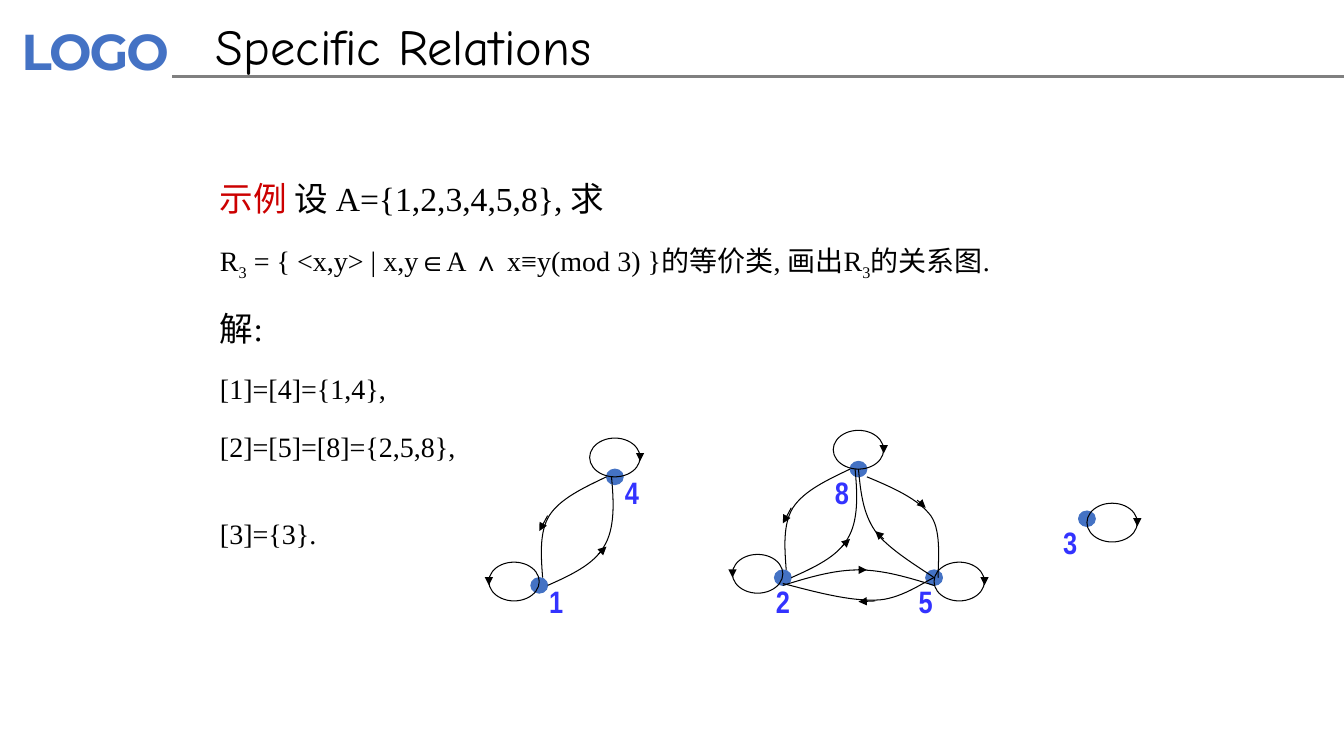
"""Build the slide on equivalence classes and the graph of their relation."""
from dataclasses import dataclass

from lxml import etree
from pptx import Presentation
from pptx.dml.color import RGBColor
from pptx.enum.shapes import MSO_CONNECTOR, MSO_SHAPE
from pptx.enum.text import MSO_ANCHOR, PP_ALIGN
from pptx.oxml.ns import qn
from pptx.util import Inches, Pt

LINE, OVAL = MSO_CONNECTOR.STRAIGHT, MSO_SHAPE.OVAL
TOP, LEFT = MSO_ANCHOR.TOP, PP_ALIGN.LEFT
COL, ROW = Inches(1 / 12), Inches(1 / 13)
GRAPH_COL, GRAPH_ROW = 58.2, 55.5
BLUE, BLACK, RED, GREY = "4472C4", "000000", "CC0000", "808080"

TITLE = dict(name="Comic Neue", size=Pt(36), color=BLACK)
LOGO = dict(name="Montserrat", size=Pt(36), bold=True, color=BLUE)
LABEL = dict(name="Arial Narrow", size=Pt(22.1), bold=True, color="3333FF")
BODY = dict(name="Times New Roman", color=BLACK)

Point = tuple[float, float]


@dataclass(frozen=True)
class Node:
    """A graph node with its loop and label offsets in grid units."""
    label: str
    col: float
    row: float
    loop: Point
    text: Point


@dataclass(frozen=True)
class Edge:
    """A curve of cubic segments with its arrow, relative to a node."""
    points: tuple[Point, ...]
    arrow: tuple[Point, Point]


@dataclass(frozen=True)
class Line:
    """A body paragraph, its runs alternating between normal and subscript."""
    runs: tuple[str, ...]
    size: int
    lead: str = ""
    before: int = 10


NODES = {n.label: n for n in (
    Node("4", 15, 6, (-3, -5), (0, -1)),
    Node("1", 6, 20, (-6, -3), (0, -1)),
    Node("8", 44, 5, (-3, -5), (-4, 0)),
    Node("2", 35, 19, (-6, -3), (-2, 0)),
    Node("5", 53, 19, (0, -2), (-3, 0)),
    Node("3", 71.2, 11.4, (0, -2), (-4, 0)),
)}
RISING = (
    Edge(((1, 0), (3.7, -1.3), (6.5, -2.7), (7.7, -5), (9, -7.3), (8.9, -10.6), (8.6, -14)),
         ((7, -4), (8, -5))),
    Edge(((8, -14), (5.3, -12.6), (2.5, -11.2), (1.2, -9), (0, -6.9), (0.2, -3.9), (0.4, -1)),
         ((1, -9), (0, -7))),
)
FALLING = (
    Edge(((0, 0), (0.25, 2.8), (0.5, 5.65), (2, 8), (3.5, 10.35), (7.8, 13.05), (9, 14)),
         ((3, 9), (2, 8))),
    Edge(((1, 1), (4.1, 2.4), (7.1, 3.85), (8.6, 6), (10, 8.1), (9.4, 12.55), (9.5, 14)),
         ((7, 4), (8, 5))),
)
LEVEL = (
    Edge(((0, 0.75), (4, 1.9), (7.9, 3), (11, 2.9), (13.9, 2.9), (16.9, 0.5), (18, 0)),
         ((11, 3), (9, 3.1))),
    Edge(((0, 1), (3, 0), (6, -1), (9, -1), (12, -1), (15, 0), (18, 1)),
         ((9, -1), (10, -1))),
)
EDGES = {"1": RISING, "2": RISING + LEVEL, "8": FALLING}
LINES = (
    Line((" 设 A={1,2,3,4,5,8}, 求",), 24, lead="示例"),
    Line(("R", "3", " = { <x,y> | x,y∈A ∧ x≡y(mod 3) }的等价类, 画出R", "3", "的关系图."), 20),
    Line(("解:",), 24),
    Line(("[1]=[4]={1,4},",), 20),
    Line(("[2]=[5]=[8]={2,5,8},",), 20),
    Line(("[3]={3}.",), 20, before=31),
)


def rgb(value: str) -> RGBColor:
    """Return the colour of a hex string."""
    return RGBColor.from_string(value)


def box(col: float, row: float, cols: float, rows: float) -> tuple[int, ...]:
    """Return left, top, width and height of a grid area."""
    return round(col * COL), round(row * ROW), round(cols * COL), round(rows * ROW)


def spot(col: float, row: float) -> Point:
    """Return the slide grid position of a graph position."""
    return GRAPH_COL + col, GRAPH_ROW + row


def add_run(p, text: str, style: dict):
    """Add a run formatted from a dict of font values."""
    r = p.add_run()
    r.text = text
    for key, value in style.items():
        if key == "color":
            r.font.color.rgb = rgb(value)
        else:
            setattr(r.font, key, value)
    return r


def add_text(slide, area: tuple[int, ...]):
    """Add a wrapping text box and return its text frame."""
    tf = slide.shapes.add_textbox(*area).text_frame
    tf.word_wrap = True
    return tf


def add_line(slide, start: Point, end: Point, color: str = BLACK,
             width: float = 0.75, arrow: bool = True) -> None:
    """Draw a straight line between two grid positions."""
    s = slide.shapes.add_connector(LINE, *box(*start, *end))
    s.line.color.rgb = rgb(color)
    s.line.width = Pt(width)
    spPr = s.element.spPr
    if arrow:
        etree.SubElement(spPr.find(qn("a:ln")), qn("a:tailEnd"), type="triangle")
    etree.SubElement(spPr, qn("a:effectLst"))


def outline(s, color: str = BLACK) -> None:
    """Give a shape a thin line and neither fill nor shadow."""
    s.shadow.inherit = False
    s.fill.background()
    s.line.color.rgb = rgb(color)
    s.line.width = Pt(0.75)


def add_node(slide, node: Node) -> None:
    """Draw a node's dot and its loop with an arrow."""
    col, row = spot(node.col, node.row)
    dot = slide.shapes.add_shape(OVAL, *box(col - 1, row - 1, 2, 2))
    outline(dot, BLUE)
    dot.fill.solid()
    dot.fill.fore_color.rgb = rgb(BLUE)
    dx, dy = node.loop
    outline(slide.shapes.add_shape(OVAL, *box(col + dx, row + dy, 6, 5)))
    side = col + dx + (0 if dx == -6 else 6)
    add_line(slide, (side, row + dy + 2), (side, row + dy + 3))


def add_edge(slide, node: Node, edge: Edge) -> None:
    """Draw a smooth curve from its control points, and its arrow."""
    start, *rest = [spot(node.col + x, node.row + y) for x, y in edge.points]
    builder = slide.shapes.build_freeform(start[0] * COL, start[1] * ROW)
    builder.add_line_segments([(x * COL, y * ROW) for x, y in rest], close=False)
    s = builder.convert_to_shape()
    outline(s)
    steps = list(s.element.iter(qn("a:lnTo")))
    for i in range(0, len(steps), 3):
        curve = etree.Element(qn("a:cubicBezTo"))
        steps[i].addprevious(curve)
        for step in steps[i:i + 3]:
            curve.append(step[0])
            step.getparent().remove(step)
    add_line(slide, *(spot(node.col + x, node.row + y) for x, y in edge.arrow))


def add_label(slide, node: Node) -> None:
    """Write a node's number beside it."""
    dx, dy = node.text
    tf = add_text(slide, box(*spot(node.col + dx, node.row + dy), 5, 6.1))
    add_run(tf.paragraphs[0], node.label, LABEL)


def add_body(slide) -> None:
    """Write the example and its solution."""
    tf = add_text(slide, box(25, 20.7, 110, 51.4))
    for i, line in enumerate(LINES):
        p = tf.add_paragraph() if i else tf.paragraphs[0]
        p.line_spacing, p.space_before = 1.3, Pt(line.before)
        pPr = p._p.get_or_add_pPr()
        pPr.set("marL", str(Inches(0.25)))
        pPr.set("indent", str(-Inches(0.25)))
        style = BODY | dict(size=Pt(line.size))
        if line.lead:
            add_run(p, line.lead, style | dict(color=RED))
        for j, text in enumerate(line.runs):
            r = add_run(p, text, style)
            if j % 2:
                r._r.get_or_add_rPr().set("baseline", "-25000")


def add_header(slide) -> None:
    """Place the logo word, the rule and the title."""
    tf = add_text(slide, box(1, 1.7, 22.3, 9.6))
    tf.margin_left = tf.margin_right = Inches(0.13)
    tf.margin_top = tf.margin_bottom = Inches(0.07)
    r = add_run(tf.paragraphs[0], "LOGO", LOGO)
    r._r.get_or_add_rPr().set("spc", "-150")
    add_line(slide, (20.5, 9.9), (160, 9.9), GREY, 2, arrow=False)
    s = slide.shapes.title
    s.left, s.top, s.width, s.height = box(24.5, 1.3, 74, 9.2)
    s.text_frame.vertical_anchor = TOP
    p = s.text_frame.paragraphs[0]
    p.alignment = LEFT
    add_run(p, "Specific Relations", TITLE)


def main() -> None:
    """Build and save the presentation."""
    prs = Presentation()
    prs.slide_width, prs.slide_height = 160 * COL, Inches(7.5)
    slide = prs.slides.add_slide(prs.slide_layouts[5])
    add_header(slide)
    add_body(slide)
    for node in NODES.values():
        add_node(slide, node)
    for label, edges in EDGES.items():
        for edge in edges:
            add_edge(slide, NODES[label], edge)
    for node in NODES.values():
        add_label(slide, node)
    prs.save("out.pptx")


if __name__ == "__main__":
    main()
